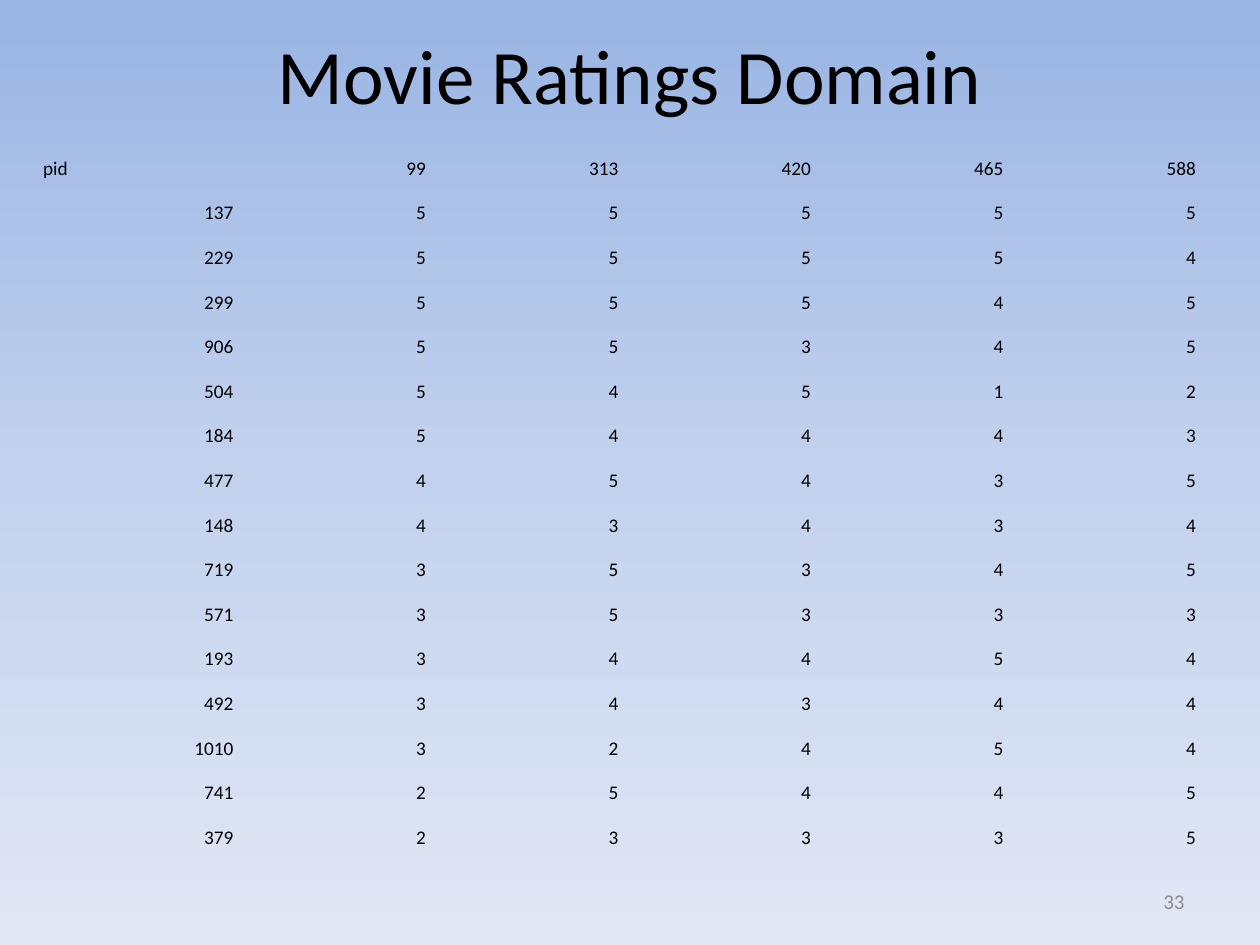
from copy import deepcopy

from pptx import Presentation
from pptx.dml.color import RGBColor
from pptx.enum.text import MSO_ANCHOR, PP_ALIGN
from pptx.util import Pt

EMU_PER_PX = 914400 / 126
LEFT, CENTER, RIGHT = PP_ALIGN.LEFT, PP_ALIGN.CENTER, PP_ALIGN.RIGHT
MIDDLE, BOTTOM = MSO_ANCHOR.MIDDLE, MSO_ANCHOR.BOTTOM
TITLE_ONLY = 5
FONT = "Calibri"
NO_STYLE_NO_GRID = "{2D5ABB26-0587-4C30-8999-92F81FD0307C}"

BACKGROUND_STOPS = [(0, "9AB5E4"), (0.5, "C2D1ED"), (1, "E1E8F5")]
MOVIE_IDS = ["pid", 99, 313, 420, 465, 588]
RATINGS = [
    [137, 5, 5, 5, 5, 5],
    [229, 5, 5, 5, 5, 4],
    [299, 5, 5, 5, 4, 5],
    [906, 5, 5, 3, 4, 5],
    [504, 5, 4, 5, 1, 2],
    [184, 5, 4, 4, 4, 3],
    [477, 4, 5, 4, 3, 5],
    [148, 4, 3, 4, 3, 4],
    [719, 3, 5, 3, 4, 5],
    [571, 3, 5, 3, 3, 3],
    [193, 3, 4, 4, 5, 4],
    [492, 3, 4, 3, 4, 4],
    [1010, 3, 2, 4, 5, 4],
    [741, 2, 5, 4, 4, 5],
    [379, 2, 3, 3, 3, 5],
]


def px(length):
    return round(length * EMU_PER_PX)


def color(hex_string):
    return RGBColor.from_string(hex_string)


def write_text(frame, text, size, fill="000000", align=LEFT):
    para = frame.paragraphs[0]
    para.alignment = align
    span = para.add_run()
    span.text = text
    span.font.name = FONT
    span.font.size = Pt(size)
    span.font.color.rgb = color(fill)


def set_background(page):
    fill = page.background.fill
    fill.gradient()
    fill.gradient_angle = 270
    # A new gradient has two stops; the third is a copy of the first.
    stop_list = page.background._cSld.xpath(".//a:gsLst")[0]
    stop_list.insert(1, deepcopy(stop_list[0]))
    for stop, (position, shade) in zip(fill.gradient_stops, BACKGROUND_STOPS):
        stop.position = position
        stop.color.rgb = color(shade)


def set_title(page, text):
    title = page.shapes.title
    title.left, title.top = px(63), px(21)
    title.width, title.height = px(1134), px(105)
    title.text_frame.vertical_anchor = MIDDLE
    write_text(title.text_frame, text, size=44, align=CENTER)


def add_page_number(page, number):
    box = page.shapes.add_textbox(px(903), px(876), px(294), px(50))
    box.text_frame.word_wrap = True
    box.text_frame.vertical_anchor = MIDDLE
    write_text(box.text_frame, number, size=12, fill="8C8C8C", align=RIGHT)


def add_ratings_table(page, rows):
    frame = page.shapes.add_table(
        len(rows), len(rows[0]), px(42), px(136), px(1155), px(714))
    table = frame.table
    table.first_row = table.horz_banding = False
    frame._element.xpath(".//a:tableStyleId")[0].text = NO_STYLE_NO_GRID
    for row, values in zip(table.rows, rows):
        for cell, value in zip(row.cells, values):
            cell.fill.background()
            cell.vertical_anchor = BOTTOM
            cell.margin_left = cell.margin_top = cell.margin_right = px(1)
            cell.margin_bottom = 0
            align = LEFT if isinstance(value, str) else RIGHT
            write_text(cell.text_frame, str(value), size=11, align=align)


def main():
    deck = Presentation()
    deck.slide_width, deck.slide_height = px(1260), px(945)
    page = deck.slides.add_slide(deck.slide_layouts[TITLE_ONLY])
    set_background(page)
    add_page_number(page, "33")
    set_title(page, "Movie Ratings Domain")
    add_ratings_table(page, [MOVIE_IDS] + RATINGS)
    deck.save("out.pptx")


if __name__ == "__main__":
    main()
